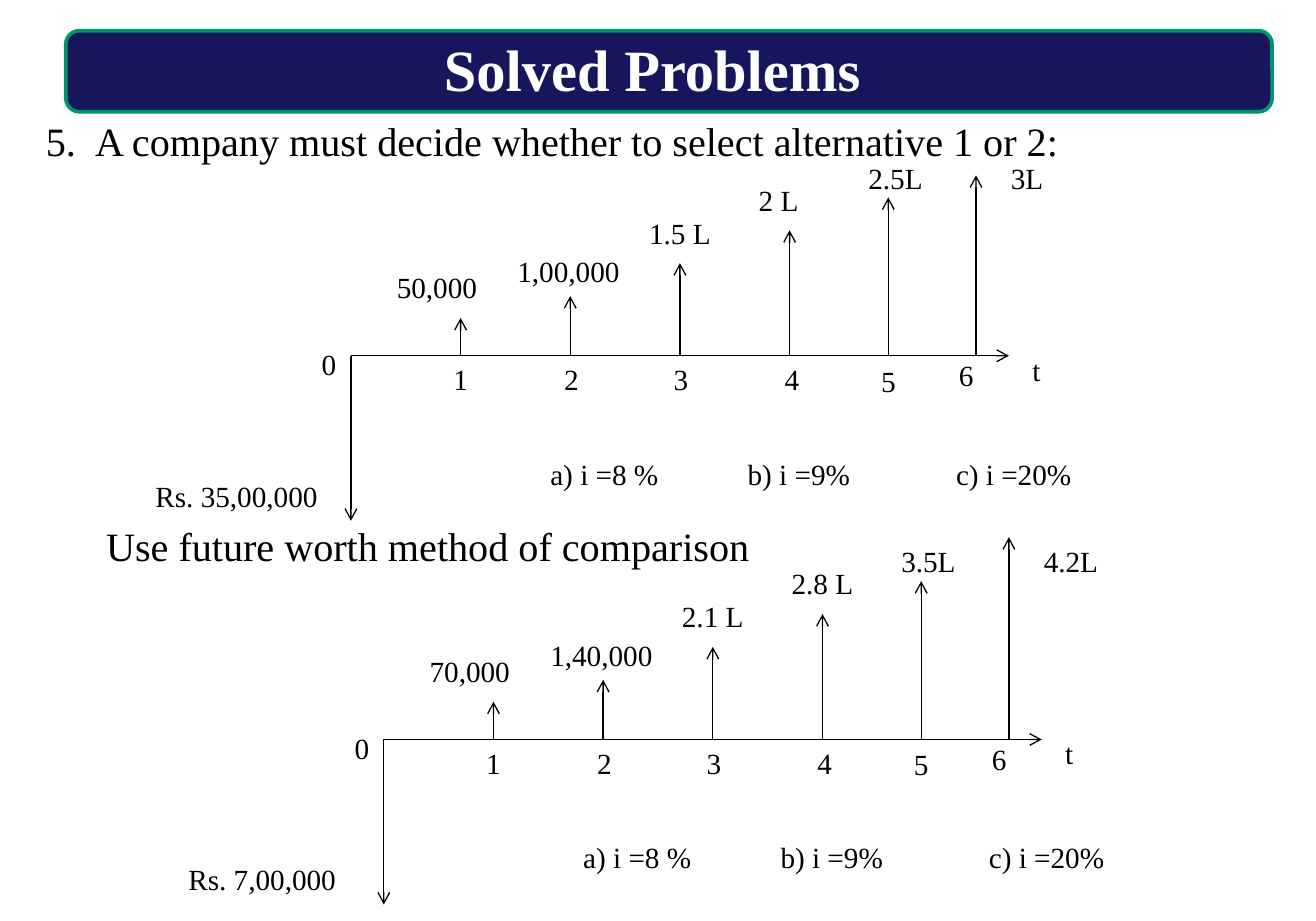
from lxml import etree
from pptx import Presentation
from pptx.dml.color import RGBColor
from pptx.enum.shapes import MSO_CONNECTOR, MSO_SHAPE
from pptx.enum.text import PP_ALIGN
from pptx.oxml.ns import qn
from pptx.util import Inches, Pt

NAVY = RGBColor(0x16, 0x16, 0x5D)
GREEN = RGBColor(0x00, 0x95, 0x6F)
BLACK = RGBColor(0, 0, 0)
WHITE = RGBColor(255, 255, 255)
LEFT, CENTER = PP_ALIGN.LEFT, PP_ALIGN.CENTER
STRAIGHT = MSO_CONNECTOR.STRAIGHT
ROUNDED = MSO_SHAPE.ROUNDED_RECTANGLE

COLS, ROWS = 120, 84
LINE = 4.4  # rows taken by a label

# Each year: column of its arrow, column of its number, row of its number
YEARS = [(10, 10, 18.4), (20, 20.1, 18.4), (30, 30.1, 18.4),
         (40, 40.2, 18.4), (49, 49, 18.5), (57, 56.1, 18)]
# Each amount label: column, row, width
SPOTS = [(3, 10, 10), (14, 8.5, 12), (26, 5, 9), (36, 2, 9), (46, 0, 8), (59, 0, 8)]
RATES = [(17, 14, "a) i =8 %"), (35, 13, "b) i =9%"), (54, 13, "c) i =20%")]
AXIS, FLOOR = 18.45, 33.5


class Board:
    """Draws on one slide, with lengths in grid columns and rows."""

    font = "Times New Roman"

    def __init__(self, deck):
        self.wide = deck.slide_width / COLS
        self.high = deck.slide_height / ROWS
        self.shapes = deck.slides.add_slide(deck.slide_layouts[6]).shapes

    def place(self, x, y):
        return round(x * self.wide), round(y * self.high)

    def banner(self, x, y, width, height):
        shape = self.shapes.add_shape(ROUNDED, *self.place(x, y), *self.place(width, height))
        shape.shadow.inherit = False
        shape.fill.solid()
        shape.fill.fore_color.rgb = NAVY
        shape.line.color.rgb = GREEN
        shape.line.width = Pt(2)

    def text(self, words, x, y, width, height=LINE, size=16, color=BLACK,
             align=LEFT, bold=False, hang=0):
        box = self.shapes.add_textbox(*self.place(x, y), *self.place(width, height))
        box.text_frame.word_wrap = True
        para = box.text_frame.paragraphs[0]
        para.text = words
        para.alignment = align
        if hang:
            indent = self.place(hang, 0)[0]
            props = para._p.get_or_add_pPr()
            props.set("marL", str(indent))
            props.set("indent", str(-indent))
        font = para.font
        font.name, font.size, font.bold = self.font, Pt(size), bold
        font.color.rgb = color

    def mark(self, words, x, y):
        """Centre a short label on column x."""
        self.text(words, x - 2, y, 4, align=CENTER)

    def arrow(self, x1, y1, x2, y2):
        line = self.shapes.add_connector(STRAIGHT, *self.place(x1, y1), *self.place(x2, y2))
        line.line.color.rgb = BLACK
        line.line.width = Pt(0.75)
        stroke = line.line._get_or_add_ln()
        etree.SubElement(stroke, qn("a:tailEnd"), type="arrow")
        etree.SubElement(line._element.spPr, qn("a:effectLst"))

    def flow(self, x, y, outlay, sums, tips):
        """Draw a cash flow diagram whose time axis starts at column x."""
        base = y + AXIS
        self.arrow(x, base, x + 60, base)
        self.arrow(x, base, x, y + FLOOR)
        self.mark("0", x - 2, y + 17)
        self.mark("t", x + 62.5, y + 17.5)
        self.text(outlay, x - 19, y + 29, 18)
        years = zip(YEARS, SPOTS, sums, tips)
        for year, ((stem, mid, row), (left, top, width), amount, tip) in enumerate(years, 1):
            self.arrow(x + stem, base, x + stem, y + tip)
            self.mark(str(year), x + mid, y + row)
            self.text(amount, x + left, y + top, width)
        for left, width, rate in RATES:
            self.text(rate, x + left, y + 27, width)


def main():
    deck = Presentation()
    deck.slide_width, deck.slide_height = Inches(10), Inches(7)
    board = Board(deck)
    board.banner(6, 2.8, 110, 7.4)
    board.text("Solved Problems", 9, 2.4, 101, 7, 32, WHITE, CENTER, True)
    board.text("5.\tA company must decide whether to select alternative 1 or 2:",
               3, 10, 114, 5.4, 22, hang=4.5)
    board.text("Use future worth method of comparison", 8.5, 47, 65, 5.4, 22)
    board.flow(32, 14, "Rs. 35,00,000",
               ["50,000", "1,00,000", "1.5 L", "2 L", "2.5L", "3L"],
               [15, 13, 10, 7, 4, 2])
    board.flow(35, 49, "Rs. 7,00,000",
               ["70,000", "1,40,000", "2.1 L", "2.8 L", "3.5L", "4.2L"],
               [15, 13, 10, 7, 4, 0])
    deck.save("out.pptx")


if __name__ == "__main__":
    main()
